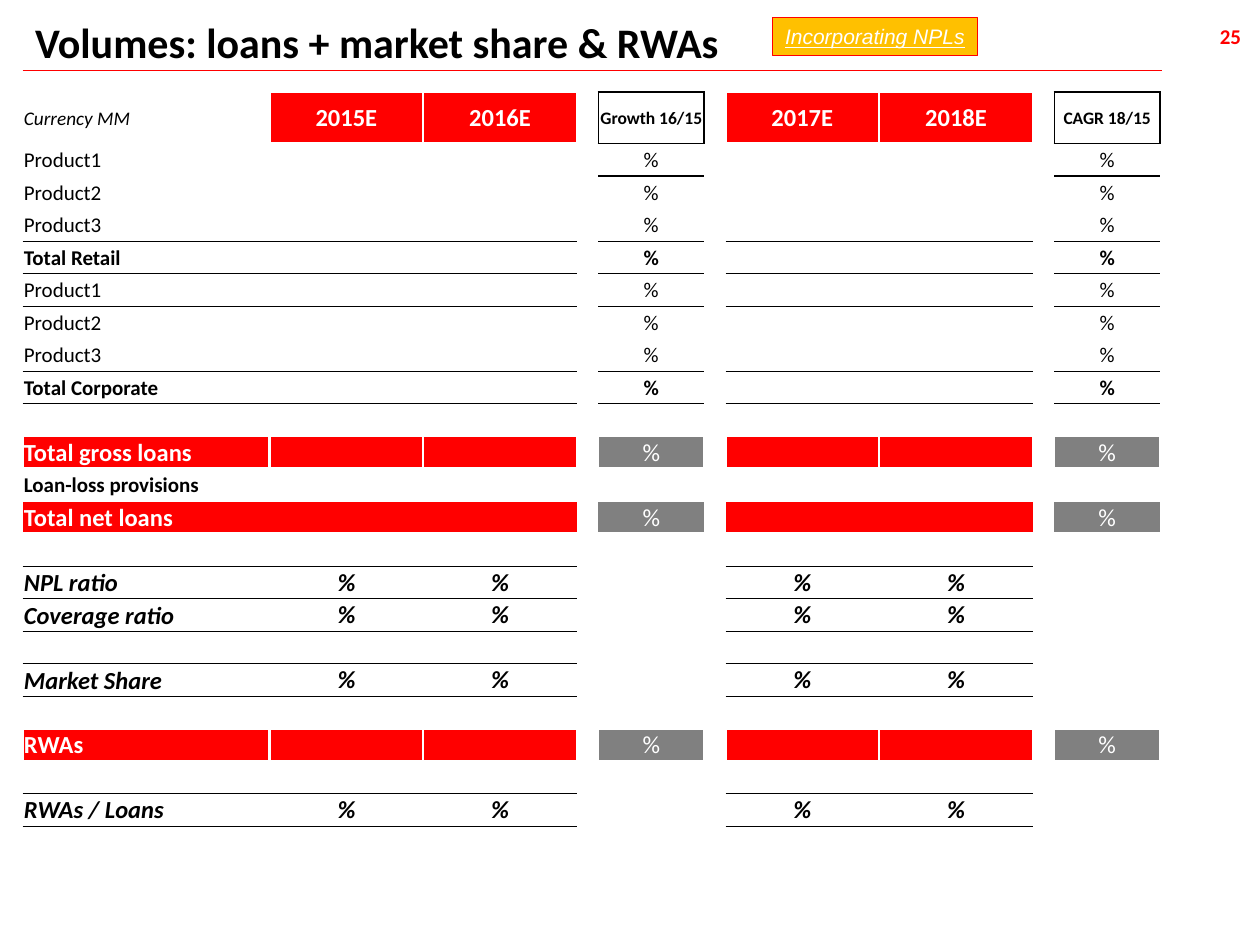
from lxml import etree
from pptx import Presentation
from pptx import util as u
from pptx.dml.color import RGBColor
from pptx.enum import shapes, text
from pptx.oxml.ns import qn

RED = RGBColor(0xFF, 0x00, 0x00)
BLACK = RGBColor(0x00, 0x00, 0x00)
WHITE = RGBColor(0xFF, 0xFF, 0xFF)
GREY = RGBColor(0x80, 0x80, 0x80)
AMBER = RGBColor(0xFF, 0xC0, 0x00)

NO_STYLE = "{2D5ABB26-0587-4C30-8999-92F81FD0307C}"
COLUMNS = [1.96, 1.22, 1.22, 0.17, 0.84, 0.17, 1.22, 1.22, 0.17, 0.84]
YEARS = {1: "2015E", 2: "2016E", 6: "2017E", 7: "2018E"}
GROWTH = {4: "Growth 16/15", 9: "CAGR 18/15"}
MAIN = [0, *YEARS]
HEADER_HEIGHT = 0.41

PRODUCTS = [("product", f"Product{n}") for n in (1, 2, 3)]
BLANK = ("blank", "")
ROWS = [
    ("header", "Currency MM"),
    *PRODUCTS, ("total", "Total Retail"),
    *PRODUCTS, ("total", "Total Corporate"),
    BLANK, ("band", "Total gross loans"),
    ("provision", "Loan-loss provisions"), ("net", "Total net loans"),
    BLANK, ("ratio", "NPL ratio"), ("ratio", "Coverage ratio"),
    BLANK, ("ratio", "Market Share"),
    BLANK, ("band", "RWAs"),
    BLANK, ("ratio", "RWAs / Loans"),
]
BOTTOM_ANCHORED = ("Coverage ratio", "Market Share")

# Label text of each kind of row: size, colour, bold, italic
LABELS = {
    "header": (11, BLACK, False, True),
    "product": (12, BLACK, False, False),
    "total": (12, BLACK, True, False),
    "blank": (8, BLACK, False, False),
    "band": (14, WHITE, True, False),
    "provision": (12, BLACK, True, False),
    "net": (14, WHITE, True, False),
    "ratio": (14, BLACK, True, True),
}
THIN, BOX, GAP = (BLACK, 0.5), (BLACK, 1), (WHITE, 1.5)
# Borders of each kind of row: columns, sides, line
BORDERS = {
    "header": [(YEARS, "LRTB", GAP), (GROWTH, "LRTB", BOX)],
    "total": [([*MAIN, *GROWTH], "TB", THIN)],
    "band": [([*MAIN, *GROWTH], "LRTB", GAP)],
    "net": [([*MAIN, *GROWTH], "TB", GAP)],
    "ratio": [(MAIN, "TB", THIN)],
}
NEIGHBOURS = {"L": (0, -1, "R"), "R": (0, 1, "L"), "T": (-1, 0, "B"), "B": (1, 0, "T")}


def add_run(p, words, size, color, bold=False, italic=False, name="Calibri"):
    r = p.add_run()
    r.text = words
    f = r.font
    f.name, f.size, f.bold, f.italic = name, u.Pt(size), bold, italic
    f.color.rgb = color
    return r


def add_text(s, box, words, size, color, align, wrap, side_inset):
    tf = s.shapes.add_textbox(*map(u.Inches, box)).text_frame
    tf.word_wrap = wrap
    tf.margin_left = tf.margin_right = u.Inches(side_inset)
    p = tf.paragraphs[0]
    p.alignment = align
    add_run(p, words, size, color, bold=True)


def add_heading(s, left, top):
    add_text(s, (left, top, 9.57, 0.5), "Volumes: loans + market share & RWAs",
             24, BLACK, text.PP_ALIGN.LEFT, True, 0.1)
    y = u.Inches(top + 0.48)
    line = s.shapes.add_connector(shapes.MSO_CONNECTOR.STRAIGHT,
                                  u.Inches(left), y, u.Inches(left + 9.04), y)
    line.line.color.rgb = RED
    line.line.width = u.Pt(0.75)
    etree.SubElement(line._element.spPr, qn("a:effectLst"))


def add_tag(s, box):
    sp = s.shapes.add_shape(shapes.MSO_SHAPE.RECTANGLE, *map(u.Inches, box))
    sp.shadow.inherit = False
    sp.fill.solid()
    sp.fill.fore_color.rgb = AMBER
    sp.line.color.rgb = RED
    sp.line.width = u.Pt(0.75)
    tf = sp.text_frame
    tf.word_wrap = False
    tf.vertical_anchor = text.MSO_ANCHOR.MIDDLE
    p = tf.paragraphs[0]
    p.alignment = text.PP_ALIGN.CENTER
    r = add_run(p, "Incorporating NPLs", 12, WHITE, italic=True, name="Arial")
    r.font.underline = True


def border_plan():
    """Map (row, column) to its sides; a shared edge is set on both cells."""
    plan = {}
    for row, (kind, _) in enumerate(ROWS):
        for cols, sides, line in BORDERS.get(kind, []):
            for col in cols:
                for side in sides:
                    dr, dc, opposite = NEIGHBOURS[side]
                    plan.setdefault((row, col), {})[side] = line
                    plan.setdefault((row + dr, col + dc), {})[opposite] = line
    return plan


def set_borders(cell, sides):
    tcPr = cell._tc.get_or_add_tcPr()
    for side in "LRTB":
        if side in sides:
            color, width = sides[side]
            ln = etree.SubElement(tcPr, qn("a:ln" + side), w=str(u.Pt(width)))
            fill = etree.SubElement(ln, qn("a:solidFill"))
            etree.SubElement(fill, qn("a:srgbClr"), val=str(color))


def cell_fill(kind, col):
    if kind == "header":
        return RED if col in YEARS else None
    if kind in ("band", "net"):
        return RED if col in MAIN else GREY if col in GROWTH else None
    return None


def cell_text(kind, label, col):
    """Return the words of a cell and their size, colour, bold and italic."""
    style = LABELS[kind]
    if col == 0:
        return label, style
    if kind == "header":
        if col in YEARS:
            return YEARS[col], (14, WHITE, True, False)
        return GROWTH.get(col, ""), (10, BLACK, True, False)
    if kind == "ratio" and col in YEARS:
        return "%", style
    if col in GROWTH and kind in ("product", "total", "band", "net"):
        size, color, bold, italic = style
        return "%", (size, color, kind == "total", italic)
    return "", style


def fill_cell(cell, kind, label, col):
    cell.margin_left = cell.margin_right = cell.margin_top = u.Inches(0.01)
    cell.margin_bottom = 0
    bottom = col == 0 and label in BOTTOM_ANCHORED
    cell.vertical_anchor = text.MSO_ANCHOR.BOTTOM if bottom else text.MSO_ANCHOR.MIDDLE
    color = cell_fill(kind, col)
    if color is None:
        cell.fill.background()
    else:
        cell.fill.solid()
        cell.fill.fore_color.rgb = color
    p = cell.text_frame.paragraphs[0]
    words, style = cell_text(kind, label, col)
    if words:
        p.alignment = text.PP_ALIGN.CENTER if col else text.PP_ALIGN.LEFT
        add_run(p, words, *style)
    else:  # keeps empty cells from stretching their row
        etree.SubElement(p._p, qn("a:endParaRPr"), sz="800")


def add_volumes_table(s, box):
    frame = s.shapes.add_table(len(ROWS), len(COLUMNS), *map(u.Inches, box))
    table = frame.table
    table.first_row = table.horz_banding = False
    table._tbl.tblPr.find(qn("a:tableStyleId")).text = NO_STYLE
    for column, width in zip(table.columns, COLUMNS):
        column.width = u.Inches(width)
    row_height = (box[3] - HEADER_HEIGHT) / (len(ROWS) - 1)
    plan = border_plan()
    for i, (kind, label) in enumerate(ROWS):
        table.rows[i].height = u.Inches(row_height if i else HEADER_HEIGHT)
        for j in range(len(COLUMNS)):
            cell = table.cell(i, j)
            set_borders(cell, plan.get((i, j), {}))
            fill_cell(cell, kind, label, j)


def main():
    prs = Presentation()
    prs.slide_width, prs.slide_height = u.Inches(10), u.Inches(7.5)
    s = prs.slides.add_slide(prs.slide_layouts[6])
    add_text(s, (9.49, 0.14, 0.42, 0.31), "25", 12, RED, text.PP_ALIGN.RIGHT, False, 0.06)
    add_heading(s, 0.18, 0.08)
    add_volumes_table(s, (0.18, 0.73, 9.04, 5.83))
    add_tag(s, (6.13, 0.14, 1.63, 0.3))
    prs.save("out.pptx")


if __name__ == "__main__":
    main()
